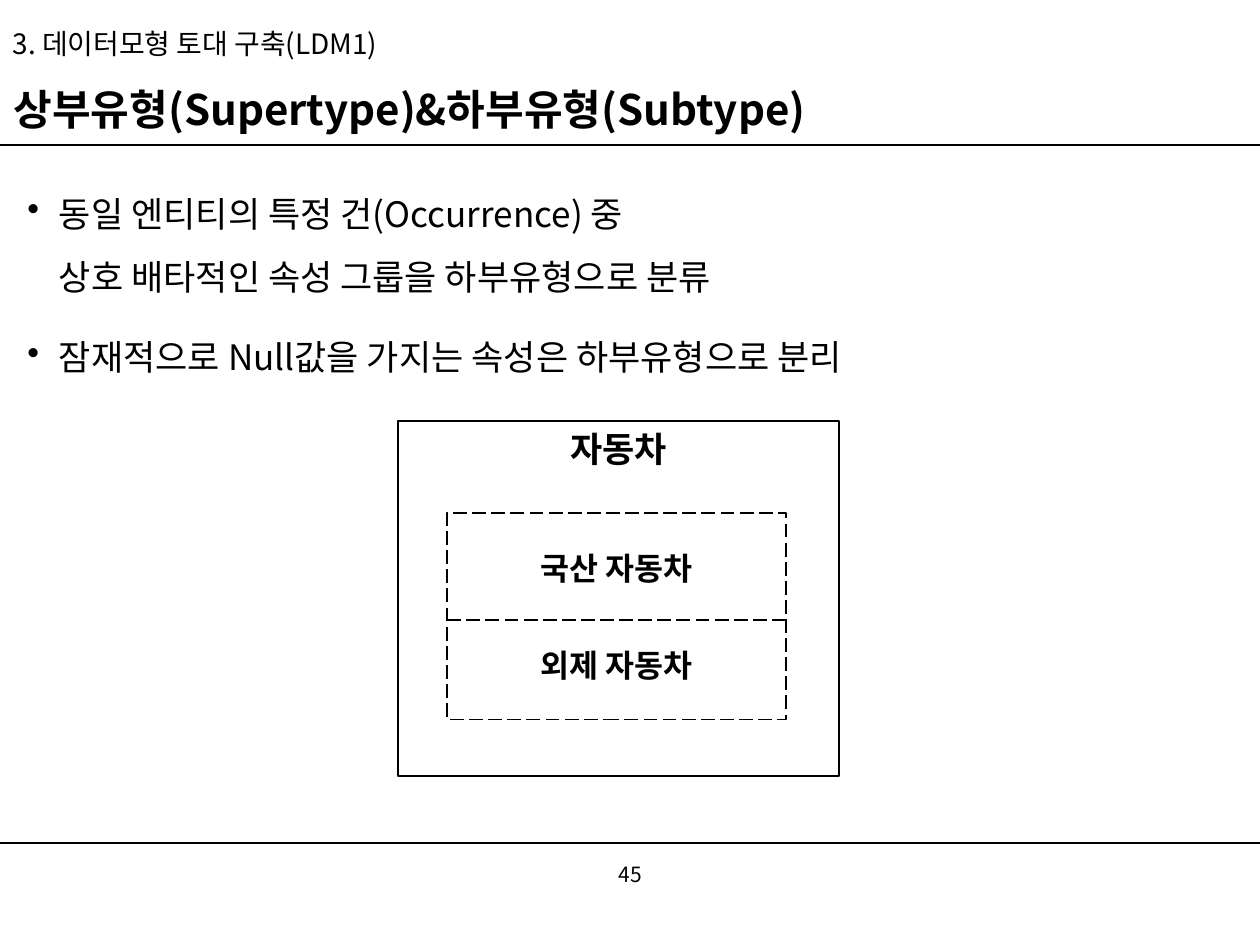
from lxml import etree
from pptx import Presentation
from pptx.dml.color import RGBColor
from pptx.enum.dml import MSO_LINE
from pptx.enum.shapes import MSO_CONNECTOR, MSO_SHAPE
from pptx.enum.text import MSO_ANCHOR, PP_ALIGN
from pptx.oxml.ns import qn
from pptx.util import Inches, Pt

BLACK = RGBColor(0, 0, 0)
WHITE = RGBColor(255, 255, 255)
FONT = "Noto Sans CJK KR"
LEFT, CENTER = PP_ALIGN.LEFT, PP_ALIGN.CENTER
TOP, MIDDLE = MSO_ANCHOR.TOP, MSO_ANCHOR.MIDDLE
LONG_DASH = MSO_LINE.LONG_DASH
STRAIGHT, RECTANGLE = MSO_CONNECTOR.STRAIGHT, MSO_SHAPE.RECTANGLE


class SlideBuilder:
    """Holds the text style and the current slide."""

    def __init__(self, page):
        self.page = page
        self.font = FONT
        self.color = BLACK

    def fill_text(self, box, lines, size, bold=False, anchor=MIDDLE, bullet=False, gap=0, **layout):
        frame = box.text_frame
        frame.word_wrap = True
        frame.vertical_anchor = anchor
        for index, line in enumerate(lines):
            para = frame.paragraphs[0] if index == 0 else frame.add_paragraph()
            para.text = line
            for name, value in layout.items():
                setattr(para, name, value)
            para.space_before = Pt(gap if index else 0)
            if bullet:
                self.add_bullet(para)
            for span in para.runs:
                for name, value in {"size": Pt(size), "bold": bold, "name": self.font}.items():
                    setattr(span.font, name, value)
                span.font.color.rgb = self.color
                east_asian = etree.SubElement(span._r.get_or_add_rPr(), qn("a:ea"))
                east_asian.set("typeface", self.font)

    def add_bullet(self, para):
        properties = para._p.get_or_add_pPr()
        properties.set("marL", str(Inches(0.25)))
        properties.set("indent", str(-Inches(0.25)))
        etree.SubElement(properties, qn("a:buChar")).set("char", "•")

    def title(self, text, left, top, width, height, **style):
        box = self.page.shapes.title
        for name, value in {"left": left, "top": top, "width": width, "height": height}.items():
            setattr(box, name, Inches(value))
        self.fill_text(box, [text], **style)

    def text(self, lines, left, top, width, height, **style):
        box = self.page.shapes.add_textbox(*map(Inches, (left, top, width, height)))
        self.fill_text(box, lines, **style)

    def rectangle(self, lines, left, top, width, height, dash=None, **style):
        box = self.page.shapes.add_shape(RECTANGLE, *map(Inches, (left, top, width, height)))
        box.shadow.inherit = False
        box.fill.solid()
        box.fill.fore_color.rgb = WHITE
        self.outline(box.line, 1, dash)
        self.fill_text(box, lines, alignment=CENTER, **style)

    def rule(self, left, right, top, weight, dash=None):
        line = self.page.shapes.add_connector(STRAIGHT, *map(Inches, (left, top, right, top)))
        self.outline(line.line, weight, dash)
        etree.SubElement(line._element.spPr, qn("a:effectLst"))

    def outline(self, line, weight, dash):
        line.color.rgb = self.color
        line.width = Pt(weight)
        if dash:
            line.dash_style = dash


def main():
    deck = Presentation()
    deck.slide_width, deck.slide_height = Inches(10), Inches(7.5)
    builder = SlideBuilder(deck.slides.add_slide(deck.slide_layouts[5]))

    # Header and footer
    for top in (1.15, 6.69):
        builder.rule(0, 10.03, top, 0.75)
    builder.text(["45"], 3.88, 6.74, 2.25, 0.4, size=12, alignment=CENTER)
    builder.title("3. 데이터모형 토대 구축(LDM1)", 0, 0.1, 10.03, 0.52,
                  size=16, alignment=LEFT, line_spacing=0.9)
    builder.text(["상부유형(Supertype)&하부유형(Subtype)"], 0.01, 0.63, 9.76, 0.52,
                 size=24, bold=True, line_spacing=0.9)

    # Bullet points
    points = [
        "동일 엔티티의 특정 건(Occurrence) 중\v상호 배타적인 속성 그룹을 하부유형으로 분류",
        "잠재적으로 Null값을 가지는 속성은 하부유형으로 분리",
    ]
    builder.text(points, 0.12, 1.31, 9.76, 5.2, size=20, anchor=TOP,
                 bullet=True, gap=10, line_spacing=1.5)

    # Supertype box with its two subtypes
    builder.rectangle(["자동차"], 3.16, 3.34, 3.5, 2.82, size=20, bold=True, anchor=TOP)
    builder.rectangle(["국산 자동차", "외제 자동차"], 3.55, 4.07, 2.69, 1.64,
                      dash=LONG_DASH, size=18, bold=True, gap=34)
    builder.rule(3.55, 6.24, 4.92, 1, LONG_DASH)

    deck.save("out.pptx")


if __name__ == "__main__":
    main()
